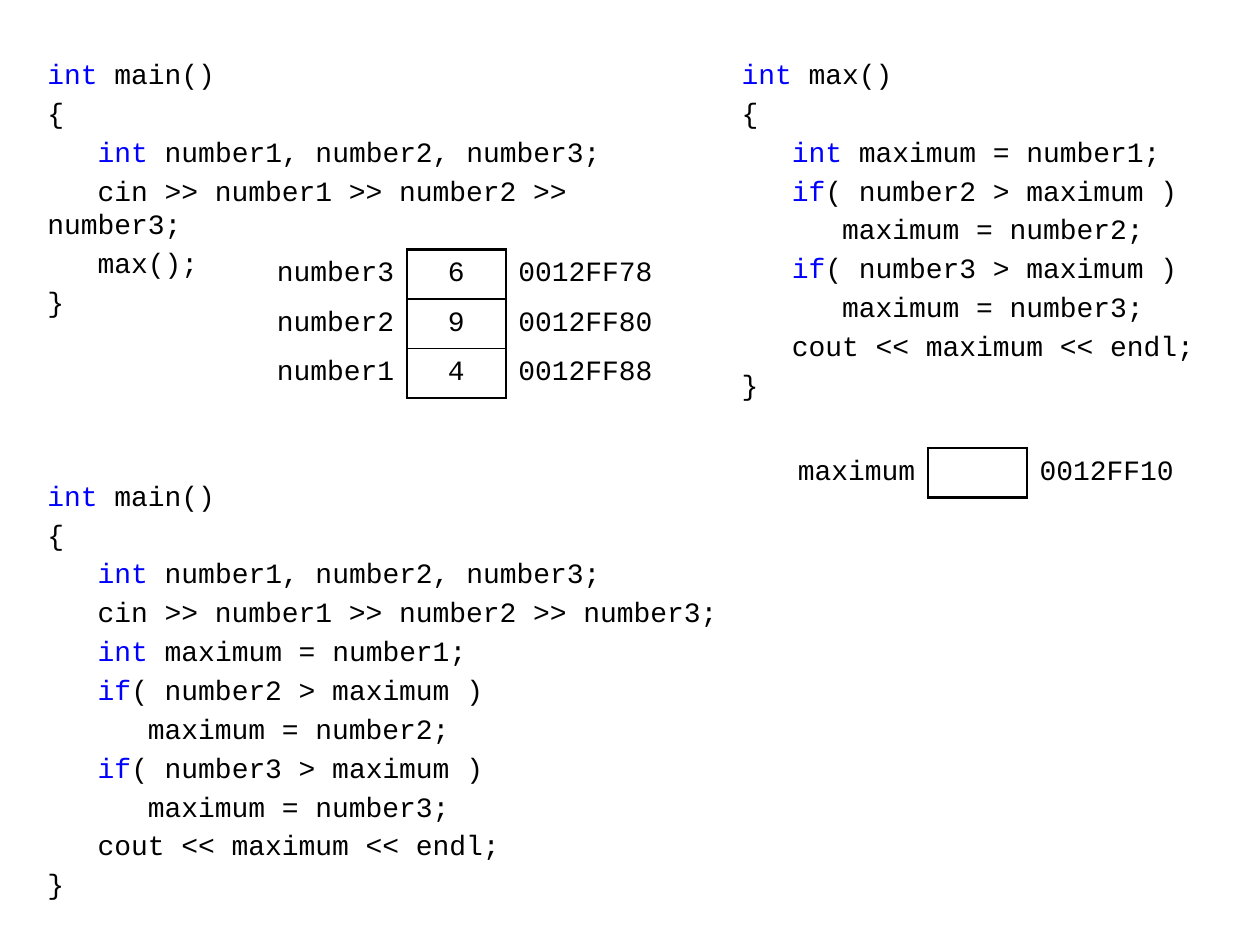
from dataclasses import dataclass

from lxml.etree import SubElement
from pptx import Presentation
from pptx.dml.color import RGBColor
from pptx.enum.text import MSO_ANCHOR, PP_ALIGN
from pptx.oxml.ns import qn
from pptx.util import Pt


@dataclass(frozen=True)
class Theme:
    font: str = "Courier New"
    size: float = 16
    text: RGBColor = RGBColor(0, 0, 0)
    keyword: RGBColor = RGBColor(0, 0, 255)
    thick: float = 1.5
    thin: float = 1
    para_gap: float = 3


THEME = Theme()
KEYWORDS = ("int", "if")
NO_GRID_STYLE = "{2D5ABB26-0587-4C30-8999-92F81FD0307C}"

# Table columns: variable name, value, address
COLUMN_WIDTHS = (85, 56.7, 99.4)
COLUMN_ALIGNS = (PP_ALIGN.RIGHT, PP_ALIGN.CENTER, PP_ALIGN.LEFT)
ROW_HEIGHT = 28.35

READ_NUMBERS = [
    "   int number1, number2, number3;",
    "   cin >> number1 >> number2 >> number3;",
]
FIND_MAXIMUM = [
    "   int maximum = number1;",
    "   if( number2 > maximum )",
    "      maximum = number2;",
    "   if( number3 > maximum )",
    "      maximum = number3;",
    "   cout << maximum << endl;",
]


def function_code(header, body):
    return [header, "{", *body, "}"]


def style_font(font):
    font.name = THEME.font
    font.size = Pt(THEME.size)
    font.color.rgb = THEME.text


def add_code_line(para, line):
    """Write one line of code, with its leading keyword coloured."""
    style_font(para.font)
    code = line.lstrip()
    indent = line[:len(line) - len(code)]
    keyword = next((word for word in KEYWORDS if code.startswith(word)), "")
    if not keyword:
        para.add_run().text = line
        return
    if indent:
        para.add_run().text = indent
    span = para.add_run()
    span.text = keyword
    span.font.color.rgb = THEME.keyword
    para.add_run().text = code[len(keyword):]


def code_block(page, box, lines):
    left, top, width, height = map(Pt, box)
    frame = page.shapes.add_textbox(left, top, width, height).text_frame
    frame.word_wrap = True
    for index, line in enumerate(lines):
        para = frame.add_paragraph() if index else frame.paragraphs[0]
        if index:
            para.space_before = Pt(THEME.para_gap)
        add_code_line(para, line)


def set_borders(cell, widths):
    """Draw the cell edges named in widths, in the order L, R, T, B."""
    properties = cell._tc.get_or_add_tcPr()
    for edge, width in widths.items():
        line = SubElement(properties, qn(f"a:ln{edge}"), w=str(int(Pt(width))))
        fill = SubElement(line, qn("a:solidFill"))
        SubElement(fill, qn("a:srgbClr"), val=str(THEME.text))


def memory_table(page, left, top, rows):
    """Show variables in memory: name, boxed value and address."""
    frame = page.shapes.add_table(
        len(rows), len(COLUMN_WIDTHS), Pt(left), Pt(top),
        Pt(sum(COLUMN_WIDTHS)), Pt(ROW_HEIGHT * len(rows)))
    table = frame.table
    table.first_row = table.horz_banding = False
    table._tbl.tblPr.find(qn("a:tableStyleId")).text = NO_GRID_STYLE
    for column, width in zip(table.columns, COLUMN_WIDTHS):
        column.width = Pt(width)

    for row_index, values in enumerate(rows):
        table.rows[row_index].height = Pt(ROW_HEIGHT)
        top_edge = THEME.thin if row_index else THEME.thick
        bottom_edge = THEME.thin if row_index < len(rows) - 1 else THEME.thick
        borders = (
            {"R": THEME.thick},
            {"L": THEME.thick, "R": THEME.thick, "T": top_edge, "B": bottom_edge},
            {"L": THEME.thick},
        )
        for column_index, value in enumerate(values):
            cell = table.cell(row_index, column_index)
            cell.margin_top = cell.margin_bottom = Pt(2.88)
            cell.vertical_anchor = MSO_ANCHOR.MIDDLE
            set_borders(cell, borders[column_index])
            cell.fill.background()
            cell.text = value
            para = cell.text_frame.paragraphs[0]
            para.alignment = COLUMN_ALIGNS[column_index]
            style_font(para.font)


def main():
    deck = Presentation()
    deck.slide_width, deck.slide_height = Pt(720), Pt(540)
    page = deck.slides.add_slide(deck.slide_layouts[6])

    # Program split into two functions
    code_block(page, (20, 28.8, 396.7, 142),
               function_code("int main()", READ_NUMBERS + ["   max();"]))
    code_block(page, (416.7, 28.8, 283.7, 212.4),
               function_code("int max()", FIND_MAXIMUM))

    # The same program in one function
    code_block(page, (20, 269.8, 411, 255),
               function_code("int main()", READ_NUMBERS + FIND_MAXIMUM))

    # Variables of each function in memory
    memory_table(page, 147.4, 142.5, [
        ("number3", "6", "0012FF78"),
        ("number2", "9", "0012FF80"),
        ("number1", "4", "0012FF88"),
    ])
    memory_table(page, 445.2, 255.9, [("maximum", "", "0012FF10")])

    deck.save("out.pptx")


if __name__ == "__main__":
    main()
